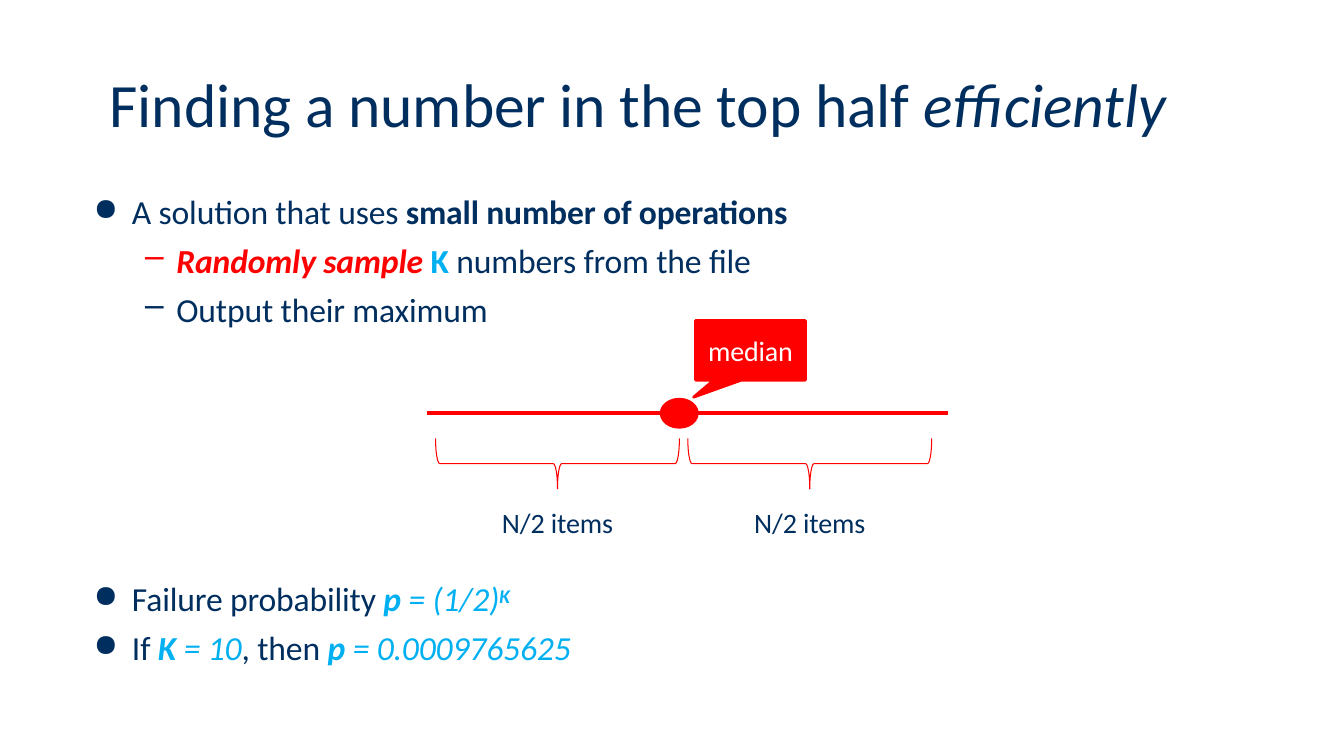
from pptx import Presentation
from pptx.dml.color import RGBColor as Color
from pptx.enum.shapes import MSO_CONNECTOR as Connector, MSO_SHAPE as Shape
from pptx.enum.text import MSO_ANCHOR as Anchor, PP_ALIGN as Align
from pptx.oxml.ns import qn
from pptx.util import Pt
from lxml import etree

THEME = {
    "font": "Calibri",
    "navy": Color(0x00, 0x2F, 0x5F),
    "red": Color(0xFF, 0x00, 0x00),
    "cyan": Color(0x00, 0xB0, 0xF0),
    "white": Color(0xFF, 0xFF, 0xFF),
    "title": 44, "body": 24, "label": 20,
}
STYLES = {
    "plain": {"color": "navy"},
    "strong": {"color": "navy", "bold": True},
    "slanted": {"color": "navy", "italic": True},
    "alert": {"color": "red", "bold": True, "italic": True},
    "key": {"color": "cyan", "bold": True},
    "variable": {"color": "cyan", "bold": True, "italic": True},
    "formula": {"color": "cyan", "italic": True},
    "power": {"color": "cyan", "bold": True, "italic": True, "raised": 24000},
    "inverse": {"color": "white"},
}
BULLETS = {
    "dot": {"char": "●", "percent": 92, "hanging": 27.4},
    "dash": {"char": "–", "percent": 100, "hanging": 22.3},
}

TITLE = [("plain", "Finding a number in the top half "), ("slanted", "efficiently")]
SOLUTION = [
    ("dot", 28.1, 7.2, [("plain", "A solution that uses "),
                        ("strong", "small number of operations")]),
    ("dash", 59.8, 6.2, [("alert", "Randomly sample "), ("key", "K "),
                         ("plain", "numbers from the file")]),
    ("dash", 59.8, 6.2, [("plain", "Output their maximum")]),
]
RESULT = [
    ("dot", 30.2, 7.2, [("plain", "Failure probability "), ("variable", "p "),
                        ("formula", "= (1/2)"), ("power", "K")]),
    ("dot", 30.2, 6.2, [("plain", "If "), ("variable", "K "), ("formula", "= 10"),
                        ("plain", ", then "), ("variable", "p "),
                        ("formula", "= 0.0009765625")]),
]
HALF_LABEL = [("plain", "N/2 items")]
MEDIAN_LABEL = [("inverse", "median")]

AXIS = {"left": 305.3, "right": 676.8, "y": 295.2}
DOT = {"x": 485.2, "width": 25.8, "height": 20}
CALLOUT = {"left": 496.8, "top": 229, "width": 78.5, "height": 42.5}
CALLOUT_TIP = (495.4, 283.7)
BRACE = {"span": 174.2, "depth": 36, "y": 331.2, "first": 398.2, "step": 180.2}
LABEL = {"top": 360, "width": 84, "height": 26}

deck = Presentation()
deck.slide_width, deck.slide_height = Pt(960), Pt(540)
page = deck.slides.add_slide(deck.slide_layouts[6])


def write(para, spans, size):
    for style, text in spans:
        look = STYLES[style]
        span = para.add_run()
        span.text = text
        formats = {"name": THEME["font"], "size": Pt(size),
                   "bold": look.get("bold", False), "italic": look.get("italic", False)}
        for name, value in formats.items():
            setattr(span.font, name, value)
        span.font.color.rgb = THEME[look["color"]]
        properties = span.font._element
        properties.set("spc", "-10")
        if "raised" in look:
            properties.set("baseline", str(look["raised"]))


def set_frame(frame, top=0, anchor=Anchor.TOP):
    formats = {"word_wrap": True, "margin_left": 0, "margin_right": 0,
               "margin_top": Pt(top), "margin_bottom": 0, "vertical_anchor": anchor}
    for name, value in formats.items():
        setattr(frame, name, value)
    return frame


def add_text(left, top, width, height, inset):
    box = page.shapes.add_textbox(Pt(left), Pt(top), Pt(width), Pt(height))
    return set_frame(box.text_frame, inset)


def add_line(left, top, width, height, spans, size, align=Align.LEFT):
    para = add_text(left, top, width, height, 0.9).paragraphs[0]
    para.alignment = align
    para.space_before = Pt(1)
    write(para, spans, size)


def add_list(left, top, width, height, items):
    frame = add_text(left, top, width, height, 7.2)
    for index, (kind, indent, before, spans) in enumerate(items):
        para = frame.add_paragraph() if index else frame.paragraphs[0]
        para.level = 1 if kind == "dash" else 0
        para.space_before = Pt(before)
        bullet = BULLETS[kind]
        properties = para._p.get_or_add_pPr()
        properties.set("marL", str(Pt(indent)))
        properties.set("indent", str(-Pt(bullet["hanging"])))
        scale = etree.SubElement(properties, qn("a:buSzPct"))
        scale.set("val", str(bullet["percent"] * 1000))
        etree.SubElement(properties, qn("a:buChar")).set("char", bullet["char"])
        write(para, spans, THEME["body"])


def add_red(kind, left, top, width, height, line, filled=True):
    shape = page.shapes.add_shape(kind, Pt(left), Pt(top), Pt(width), Pt(height))
    shape.shadow.inherit = False
    if filled:
        shape.fill.solid()
        shape.fill.fore_color.rgb = THEME["red"]
    else:
        shape.fill.background()
    shape.line.color.rgb = THEME["red"]
    shape.line.width = Pt(line)
    return shape


add_line(78.5, 46.1, 764, 54.7, TITLE, THEME["title"])
add_list(66.2, 128.9, 502, 134, SOLUTION)
add_list(64.1, 405.4, 400, 72, RESULT)

axis = page.shapes.add_connector(Connector.STRAIGHT, Pt(AXIS["left"]), Pt(AXIS["y"]),
                                 Pt(AXIS["right"]), Pt(AXIS["y"]))
axis.line.color.rgb = THEME["red"]
axis.line.width = Pt(3)
etree.SubElement(axis._element.spPr, qn("a:effectLst"))

add_red(Shape.OVAL, DOT["x"] - DOT["width"] / 2, AXIS["y"] - DOT["height"] / 2,
        DOT["width"] - 2 + 2, DOT["height"], 2)

callout = add_red(Shape.RECTANGULAR_CALLOUT, *CALLOUT.values(), 2)
callout.adjustments[0] = (CALLOUT_TIP[0] - CALLOUT["left"]) / CALLOUT["width"] - 0.5
callout.adjustments[1] = (CALLOUT_TIP[1] - CALLOUT["top"]) / CALLOUT["height"] - 0.5
median = set_frame(callout.text_frame, anchor=Anchor.MIDDLE).paragraphs[0]
median.alignment = Align.CENTER
write(median, MEDIAN_LABEL, THEME["label"])

for half in range(2):
    center = BRACE["first"] + half * BRACE["step"]
    brace = add_red(Shape.RIGHT_BRACE, center - BRACE["depth"] / 2,
                    BRACE["y"] - BRACE["span"] / 2, BRACE["depth"], BRACE["span"],
                    0.75, filled=False)
    brace.rotation = 90
    add_line(center - LABEL["width"] / 2, LABEL["top"], LABEL["width"], LABEL["height"],
             HALF_LABEL, THEME["label"], Align.CENTER)

deck.save("out.pptx")
